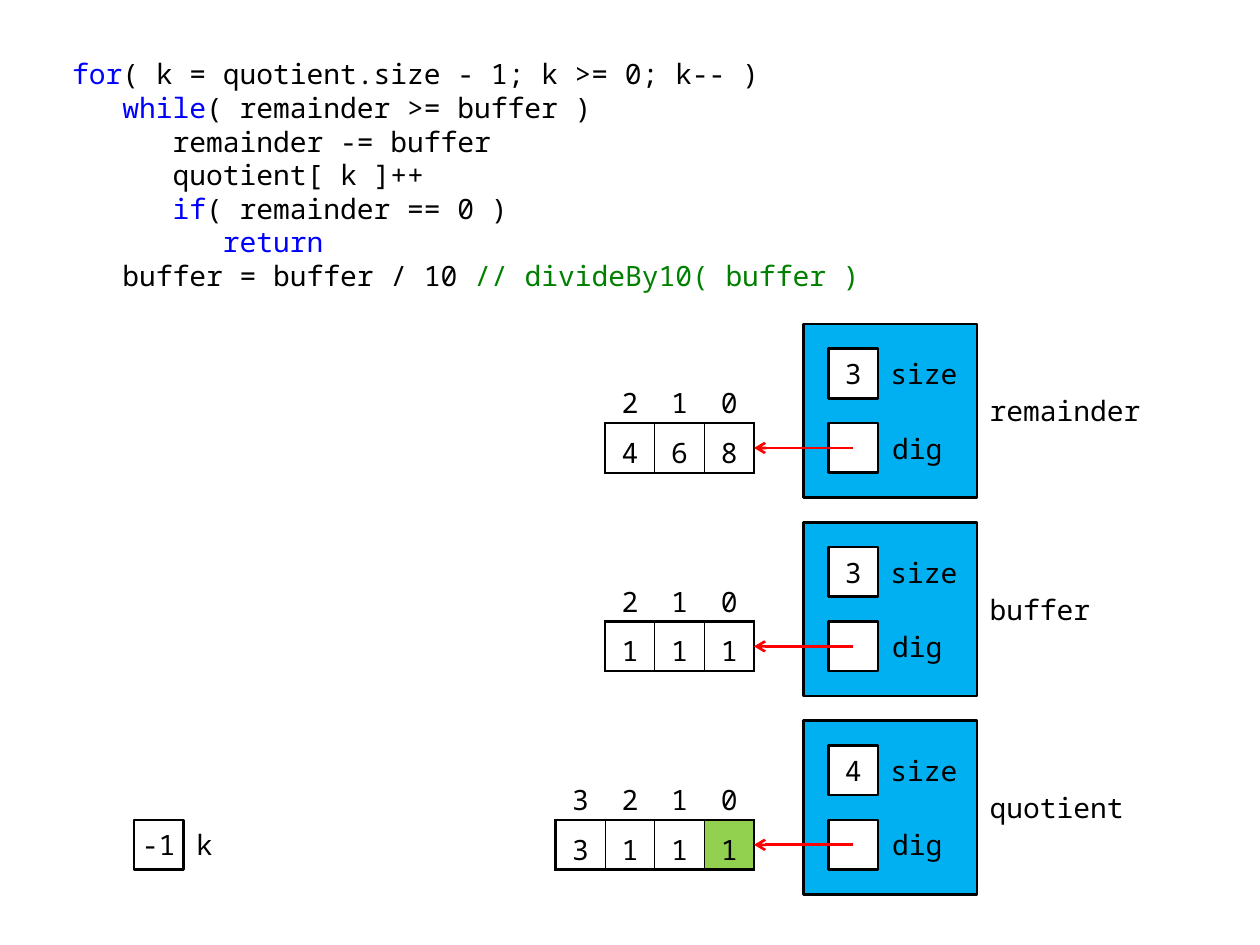
from lxml import etree
from pptx import Presentation
from pptx.dml.color import RGBColor
from pptx.enum.shapes import MSO_CONNECTOR, MSO_SHAPE
from pptx.enum.text import MSO_ANCHOR, PP_ALIGN
from pptx.oxml.ns import qn
from pptx.util import Cm, Inches, Pt

RECTANGLE = MSO_SHAPE.RECTANGLE
STRAIGHT = MSO_CONNECTOR.STRAIGHT
MIDDLE = MSO_ANCHOR.MIDDLE
LEFT, CENTER, RIGHT = PP_ALIGN.LEFT, PP_ALIGN.CENTER, PP_ALIGN.RIGHT

FONT = "Noto Sans Mono"
BLACK, WHITE, RED = "000000", "FFFFFF", "FF0000"
KEYWORD, COMMENT = "0000FF", "008000"
OBJECT_FILL, CURRENT_DIGIT = "00B0F0", "92D050"
PLAIN_TABLE = "{2D5ABB26-0587-4C30-8999-92F81FD0307C}"
GRID = Cm(1)
OBJECT_LEFT, OBJECT_TOP, OBJECT_PITCH, OBJECT_SIDE = 16.2, 6.53, 4, 3.5
ARRAY_RIGHT = 15.2

CODE = [
    [("for", KEYWORD), ("( k = quotient.size - 1; k >= 0; k-- )", BLACK)],
    [("   ", BLACK), ("while", KEYWORD), ("( remainder >= buffer )", BLACK)],
    [("      remainder -= buffer", BLACK)],
    [("      quotient[ k ]++", BLACK)],
    [("      ", BLACK), ("if", KEYWORD), ("( remainder == 0 )", BLACK)],
    [("         ", BLACK), ("return", KEYWORD)],
    [("   buffer = buffer / 10", BLACK), (" // divideBy10( buffer )", COMMENT)],
]
OBJECTS = [
    ("remainder", 3.5, "468", None),
    ("buffer", 2.5, "111", None),
    ("quotient", 3.5, "3111", 0),
]


def rgb(color):
    return RGBColor.from_string(color)


def grid(*lengths):
    return [round(length * GRID) for length in lengths]


def style_font(font, color=BLACK):
    font.name = FONT
    font.size = Pt(16)
    font.color.rgb = rgb(color)


def write(frame, text, align):
    frame.word_wrap = True
    frame.vertical_anchor = MIDDLE
    frame.text = text
    paragraph = frame.paragraphs[0]
    paragraph.alignment = align
    style_font(paragraph.runs[0].font)


def add_box(slide, box, fill, text=""):
    rectangle = slide.shapes.add_shape(RECTANGLE, *grid(*box))
    rectangle.shadow.inherit = False
    rectangle.fill.solid()
    rectangle.fill.fore_color.rgb = rgb(fill)
    rectangle.line.color.rgb = rgb(BLACK)
    rectangle.line.width = Pt(1.5)
    if text:
        frame = rectangle.text_frame
        frame.margin_left = frame.margin_right = Inches(0.04)
        write(frame, text, CENTER)


def add_label(slide, box, text, align=LEFT):
    frame = slide.shapes.add_textbox(*grid(*box)).text_frame
    frame.margin_top = frame.margin_bottom = 0
    frame.margin_right = Inches(0.08 if align == RIGHT else 0.04)
    write(frame, text, align)


def add_code(slide, box):
    listing = slide.placeholders[1]
    listing.left, listing.top, listing.width, listing.height = grid(*box)
    frame = listing.text_frame
    frame.word_wrap = True
    for number, pieces in enumerate(CODE):
        paragraph = frame.add_paragraph() if number else frame.paragraphs[0]
        properties = paragraph._p.get_or_add_pPr()
        properties.set("marL", "0")
        properties.set("indent", "0")
        etree.SubElement(properties, qn("a:buNone"))
        paragraph.space_before = Pt(0)
        paragraph.line_spacing = Pt(19.2)
        for text, color in pieces:
            run = paragraph.add_run()
            run.text = text
            style_font(run.font, color)


def set_border(cell, side, width):
    border = etree.SubElement(cell._tc.get_or_add_tcPr(), qn(f"a:ln{side}"), w=str(Pt(width)))
    fill = etree.SubElement(border, qn("a:solidFill"))
    etree.SubElement(fill, qn("a:srgbClr"), val=BLACK)


def add_array(slide, box, digits, current):
    count = len(digits)
    array = slide.shapes.add_table(2, count, *grid(*box)).table
    array.first_row = array.horz_banding = False
    array._tbl.tblPr.find(qn("a:tableStyleId")).text = PLAIN_TABLE
    for column, digit in enumerate(digits):
        index = count - 1 - column
        for row, text in enumerate((str(index), digit)):
            cell = array.cell(row, column)
            cell.margin_left = cell.margin_right = cell.margin_top = cell.margin_bottom = 0
            cell.vertical_anchor = MIDDLE
            cell.text = text
            paragraph = cell.text_frame.paragraphs[0]
            paragraph.alignment = CENTER
            paragraph.line_spacing = 1.25
            style_font(paragraph.runs[0].font)
            if row:
                set_border(cell, "L", 0.75 if column else 1.5)
                set_border(cell, "R", 0.75 if index else 1.5)
                set_border(cell, "T", 1.5)
            set_border(cell, "B", 1.5)
            if row and index == current:
                cell.fill.solid()
                cell.fill.fore_color.rgb = rgb(CURRENT_DIGIT)
            else:
                cell.fill.background()


def add_pointer(slide, start, end):
    pointer = slide.shapes.add_connector(STRAIGHT, *grid(*start, *end))
    pointer.line.color.rgb = rgb(RED)
    pointer.line.width = Pt(1.5)
    etree.SubElement(pointer.line._get_or_add_ln(), qn("a:tailEnd"), type="arrow")
    etree.SubElement(pointer._element.spPr, qn("a:effectLst"))


def add_object(slide, box, name, name_width, digits, current):
    left, top, width, height = box
    field_left, label_left = left + 0.5, left + 1.5
    size_top, dig_top = top + 0.5, top + 2
    add_box(slide, box, OBJECT_FILL)
    add_box(slide, (field_left, size_top, 1, 1), WHITE, str(len(digits)))
    add_box(slide, (field_left, dig_top, 1, 1), WHITE)
    add_label(slide, (left + width, top + 1, name_width, 1.5), name)
    add_label(slide, (label_left, size_top, 2, 1), "size")
    add_label(slide, (label_left, dig_top, 1.5, 1), "dig", RIGHT)
    add_array(slide, (ARRAY_RIGHT - len(digits), dig_top - 1, len(digits), 2), digits, current)
    add_pointer(slide, (field_left + 0.5, dig_top + 0.5), (ARRAY_RIGHT, dig_top + 0.5))


def add_counter(slide, box):
    left, top, width, height = box
    add_box(slide, box, WHITE, "-1")
    add_label(slide, (left + width, top, 1, height), "k")


def main():
    presentation = Presentation()
    presentation.slide_width, presentation.slide_height = Inches(10), Inches(7.5)
    slide = presentation.slides.add_slide(presentation.slide_layouts[1])
    title = slide.shapes.title._element
    title.getparent().remove(title)
    add_code(slide, (1.2, 1.02, 17, 5))
    for number, details in enumerate(OBJECTS):
        top = OBJECT_TOP + number * OBJECT_PITCH
        add_object(slide, (OBJECT_LEFT, top, OBJECT_SIDE, OBJECT_SIDE), *details)
    add_counter(slide, (2.7, 16.53, 1, 1))
    presentation.save("out.pptx")


if __name__ == "__main__":
    main()
